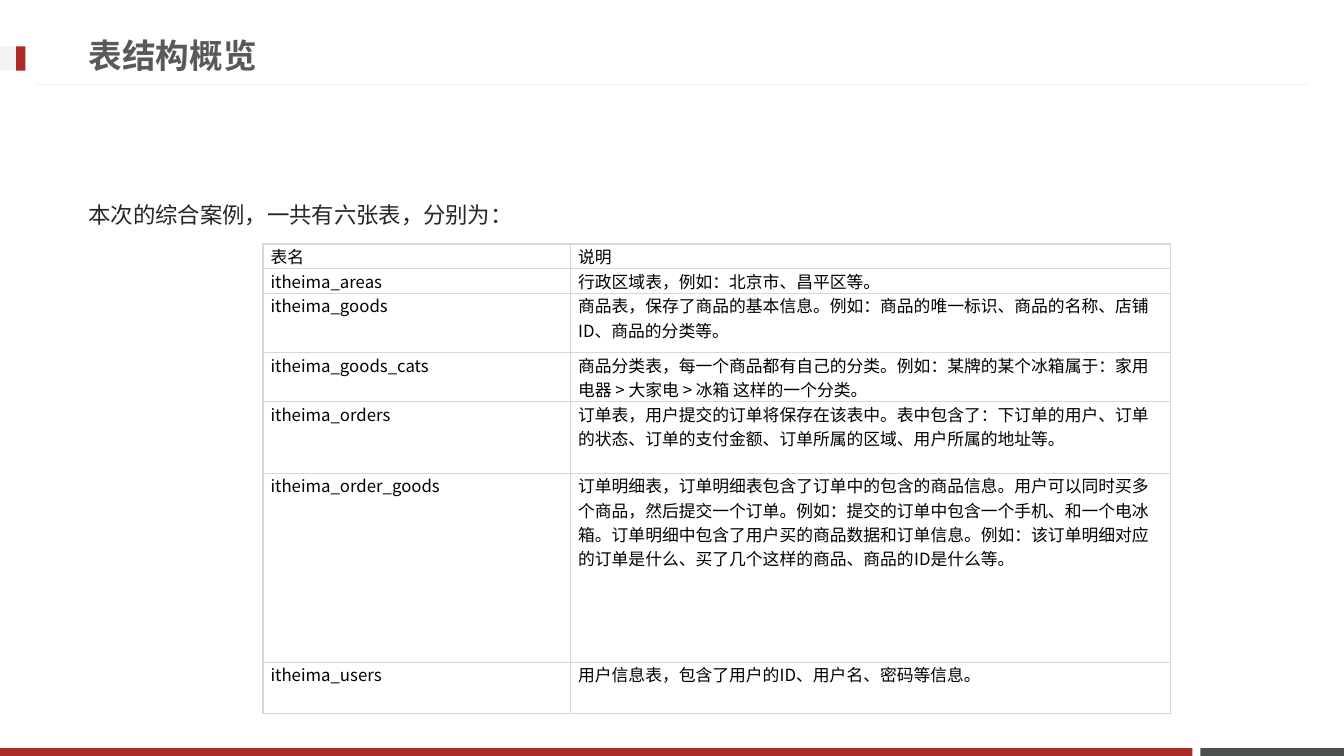
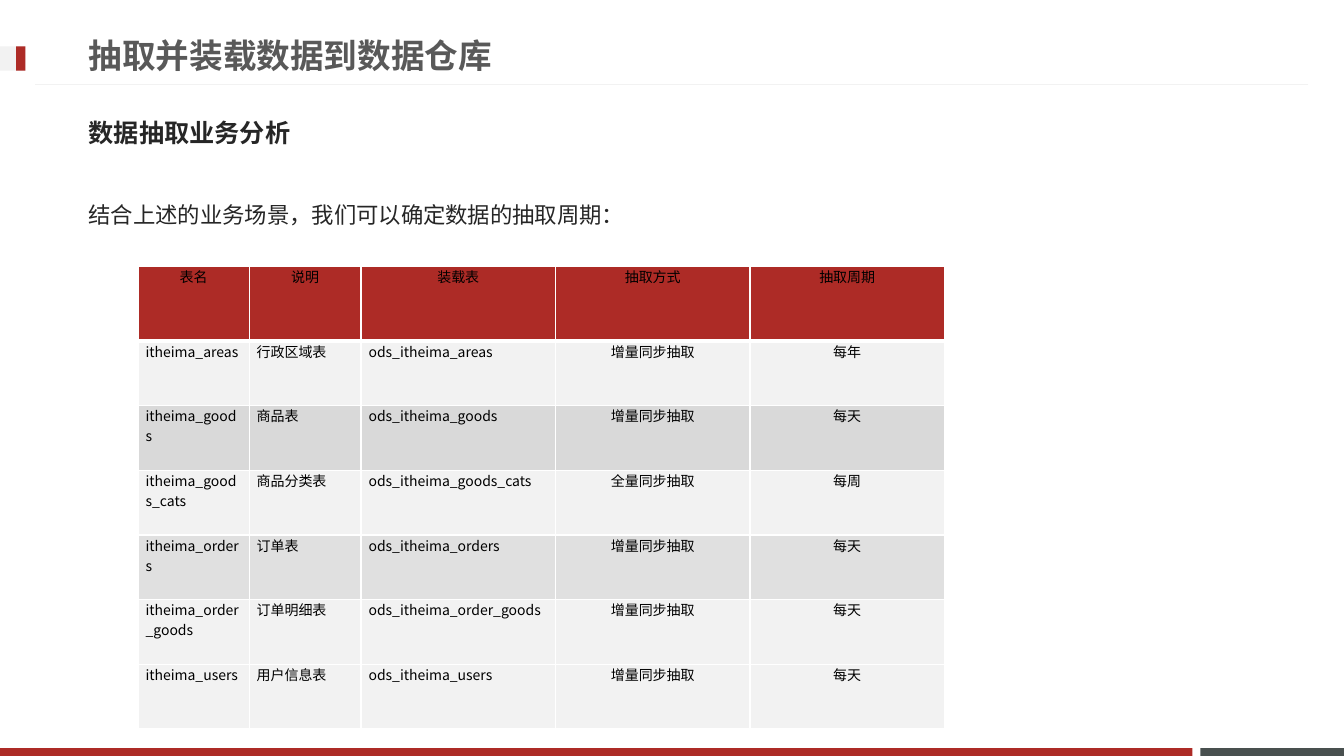
from pptx import Presentation
from pptx.dml.color import RGBColor
from pptx.enum.shapes import MSO_CONNECTOR, MSO_SHAPE
from pptx.enum.text import MSO_ANCHOR as ANCHOR, MSO_AUTO_SIZE, PP_ALIGN as ALIGN
from pptx.oxml.ns import qn
from pptx.util import Cm, Pt
from lxml.etree import SubElement

RED, SLATE, PALE, GREY, BORDER, WHITE = "AD2B26", "49504F", "F2F2F2", "D9D9D9", "D8D8D8", "FFFFFF"
CJK_SC, CJK_JP = "Noto Sans CJK SC", "Noto Sans CJK JP"

TITLE = dict(font="Calibri", size=24, color="595959", bold=True)
SUBTITLE = dict(font=CJK_JP, size=18, color="262626", bold=True)
BODY = dict(font=CJK_JP, size=16, color="262626", bold=False)
CELL = dict(font=CJK_SC, size=12, color="000000", bold=False)
SMALL_CELL = {**CELL, "size": 10}

TITLE_BOX = (1.98, 0.66, 24.36, 1.45)
SUBTITLE_BOX = (1.98, 2.62, 29.72, 1.45)
BODY_BOX = (1.98, 4.6, 29.72, 11.71)

BARS = [
    (30.25, 18.85, 3.62, 0.2, SLATE),
    (0, 18.85, 30.05, 0.2, RED),
    (0, 1.17, 0.64, 0.61, PALE),
    (0.41, 1.17, 0.23, 0.61, RED),
]

OVERVIEW = [
    ("表名", "说明"),
    ("itheima_areas", "行政区域表，例如：北京市、昌平区等。"),
    ("itheima_goods", "商品表，保存了商品的基本信息。例如：商品的唯一标识、商品的名称、店铺ID、商品的分类等。"),
    ("itheima_goods_cats", "商品分类表，每一个商品都有自己的分类。例如：某牌的某个冰箱属于：家用电器 > 大家电 > 冰箱 这样的一个分类。"),
    ("itheima_orders", "订单表，用户提交的订单将保存在该表中。表中包含了：下订单的用户、订单的状态、订单的支付金额、订单所属的区域、用户所属的地址等。"),
    ("itheima_order_goods", "订单明细表，订单明细表包含了订单中的包含的商品信息。用户可以同时买多个商品，然后提交一个订单。例如：提交的订单中包含一个手机、和一个电冰箱。订单明细中包含了用户买的商品数据和订单信息。例如：该订单明细对应的订单是什么、买了几个这样的商品、商品的ID是什么等。"),
    ("itheima_users", "用户信息表，包含了用户的ID、用户名、密码等信息。"),
]

SOURCES = [
    ("areas", "行政区域表", "增量同步抽取", "每年"),
    ("goods", "商品表", "增量同步抽取", "每天"),
    ("goods_cats", "商品分类表", "全量同步抽取", "每周"),
    ("orders", "订单表", "增量同步抽取", "每天"),
    ("order_goods", "订单明细表", "增量同步抽取", "每天"),
    ("users", "用户信息表", "增量同步抽取", "每天"),
]
EXTRACTION = [("表名", "说明", "装载表", "抽取方式", "抽取周期")] + [
    (f"itheima_{name}", label, f"ods_itheima_{name}", method, period)
    for name, label, method, period in SOURCES
]

SLIDES = [
    dict(
        layout=1, title="表结构概览",
        texts=[("本次的综合案例，一共有六张表，分别为：", BODY_BOX, BODY, ANCHOR.TOP, 1.5)],
        table=dict(
            rows=OVERVIEW, at=(6.63, 6.15), widths=[7.75, 15.11],
            heights=[0.62, 0.62, 1.5, 1.2, 1.81, 4.76, 1.3],
            style=CELL, border=BORDER, header_rule=1, fills=[None] * 7,
        ),
    ),
    dict(
        layout=3, title="抽取并装载数据到数据仓库",
        texts=[
            ("数据抽取业务分析", SUBTITLE_BOX, SUBTITLE, ANCHOR.MIDDLE, 1),
            ("结合上述的业务场景，我们可以确定数据的抽取周期：", BODY_BOX, BODY, ANCHOR.TOP, 1.5),
        ],
        table=dict(
            rows=EXTRACTION, at=(3.48, 6.71), widths=[2.8, 2.82] + [4.9] * 3,
            heights=[1.88] + [1.63] * 6,
            style=SMALL_CELL, border=WHITE, header_rule=3, centred_from=3,
            fills=[(RED, 100), (PALE, 100), (GREY, 100), (PALE, 100),
                   (GREY, 80), (PALE, 100), (PALE, 100)],
        ),
    ),
]


def rgb(value):
    return RGBColor.from_string(value)


def write(p, text, style):
    r = p.add_run()
    r.text = text
    f = r.font
    for name, value in dict(name=style["font"], size=Pt(style["size"]), bold=style["bold"]).items():
        setattr(f, name, value)
    f.color.rgb = rgb(style["color"])
    ea = CJK_SC if style is TITLE else style["font"]
    SubElement(r._r.get_or_add_rPr(), qn("a:ea"), typeface=ea)


def fill_placeholder(sp, text, box, style, anchor, spacing=1):
    for name, value in zip(("left", "top", "width", "height"), box):
        setattr(sp, name, Cm(value))
    tf = sp.text_frame
    for name, value in dict(word_wrap=True, auto_size=MSO_AUTO_SIZE.NONE, vertical_anchor=anchor).items():
        setattr(tf, name, value)
    p = tf.paragraphs[0]
    pPr = p._p.get_or_add_pPr()
    pPr.set("marL", "0")
    pPr.set("indent", "0")
    SubElement(pPr, qn("a:buNone"))
    for name, value in dict(alignment=ALIGN.LEFT, line_spacing=spacing, space_before=Pt(0)).items():
        setattr(p, name, value)
    write(p, text, style)


def add_frame(s):
    for left, top, width, height, color in BARS:
        sp = s.shapes.add_shape(MSO_SHAPE.RECTANGLE, Cm(left), Cm(top), Cm(width), Cm(height))
        sp.shadow.inherit = False
        sp.fill.solid()
        sp.fill.fore_color.rgb = rgb(color)
        sp.line.fill.background()
    rule = s.shapes.add_connector(MSO_CONNECTOR.STRAIGHT, Cm(32.97), Cm(2.13), Cm(0.89), Cm(2.13))
    rule.line.color.rgb = rgb(PALE)
    rule.line.width = Pt(0.75)
    SubElement(rule._element.spPr, qn("a:effectLst"))


def set_borders(cell, color, widths):
    tcPr = cell._tc.get_or_add_tcPr()
    for side, width in zip("LRTB", widths):
        ln = SubElement(tcPr, qn(f"a:ln{side}"), w=str(Pt(width)))
        SubElement(SubElement(ln, qn("a:solidFill")), qn("a:srgbClr"), val=color)


def set_fill(cell, fill):
    if fill is None:
        cell.fill.background()
        return
    color, opacity = fill
    cell.fill.solid()
    cell.fill.fore_color.rgb = rgb(color)
    if opacity < 100:
        clr = cell._tc.tcPr.find(qn("a:solidFill")).find(qn("a:srgbClr"))
        SubElement(clr, qn("a:alpha"), val=str(opacity * 1000))


def add_table(s, rows, at, widths, heights, style, border, header_rule, fills, centred_from=None):
    left, top = at
    table = s.shapes.add_table(len(rows), len(widths), Cm(left), Cm(top),
                               Cm(sum(widths)), Cm(sum(heights))).table
    table.first_row = table.horz_banding = False
    for column, width in zip(table.columns, widths):
        column.width = Cm(width)
    for i, (row, height) in enumerate(zip(rows, heights)):
        table.rows[i].height = Cm(height)
        for j, text in enumerate(row):
            cell = table.cell(i, j)
            for name, value in dict(margin_left=Cm(0.19), margin_right=Cm(0.19),
                                    margin_top=0, margin_bottom=0).items():
                setattr(cell, name, value)
            set_borders(cell, border, (1, 1, header_rule if i == 1 else 1, header_rule if i == 0 else 1))
            set_fill(cell, fills[i])
            p = cell.text_frame.paragraphs[0]
            centred = centred_from is not None and (i == 0 or j >= centred_from)
            p.alignment = ALIGN.CENTER if centred else ALIGN.LEFT
            write(p, text, style)


def main():
    prs = Presentation()
    prs.slide_width, prs.slide_height = Cm(33.87), Cm(19.05)
    for page in SLIDES:
        s = prs.slides.add_slide(prs.slide_layouts[page["layout"]])
        add_frame(s)
        fill_placeholder(s.shapes.title, page["title"], TITLE_BOX, TITLE, ANCHOR.MIDDLE)
        for idx, spec_of_text in enumerate(page["texts"], 1):
            fill_placeholder(s.placeholders[idx], *spec_of_text)
        add_table(s, **page["table"])
    prs.save("out.pptx")


if __name__ == "__main__":
    main()
